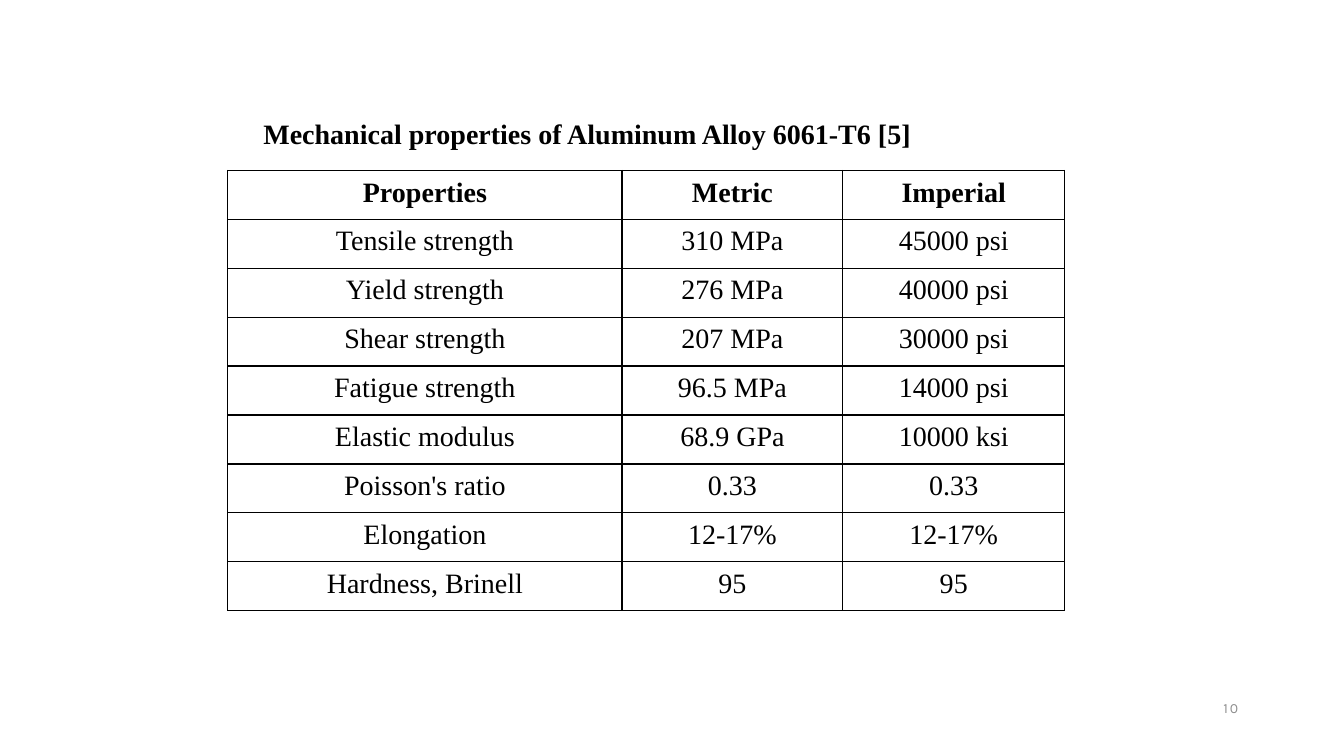
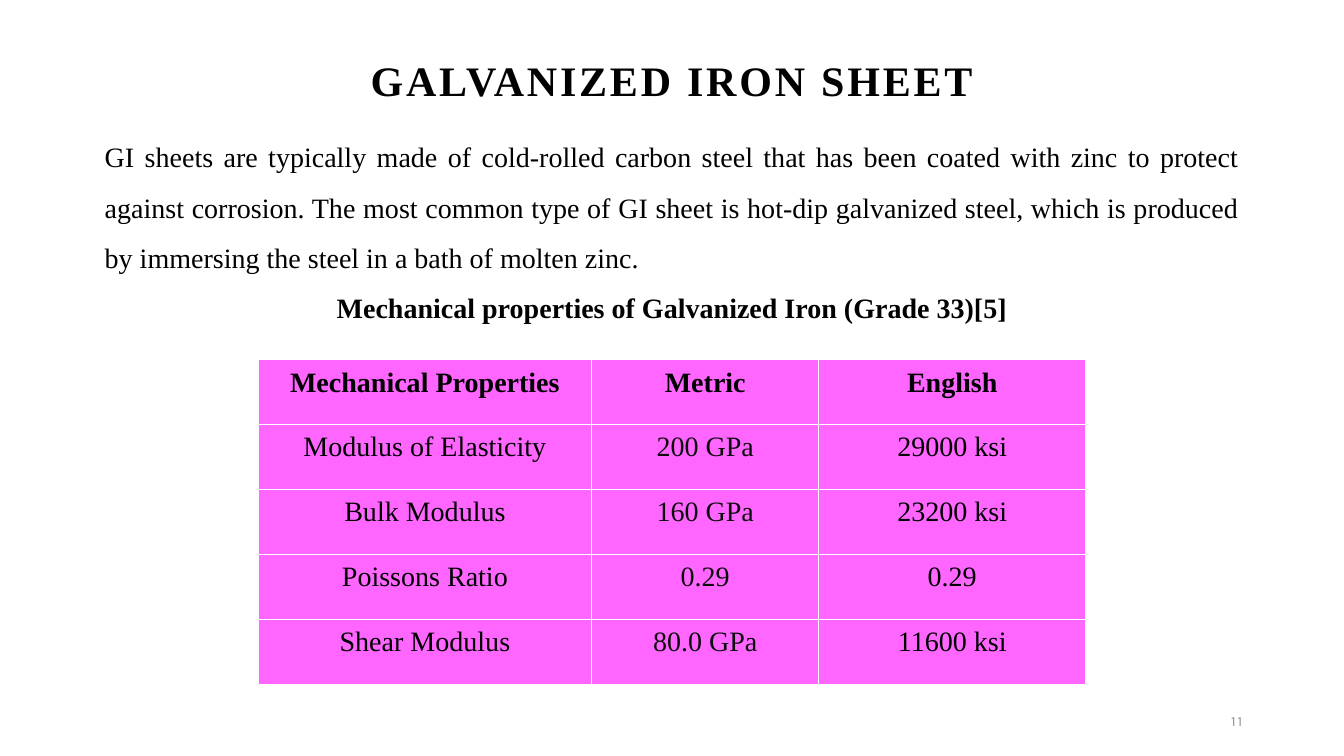
import pptx
import pptx.dml.color
import pptx.enum.text
import pptx.oxml
import pptx.oxml.ns
import pptx.util

Pt = pptx.util.Pt
ALIGN = pptx.enum.text.PP_ALIGN
ANCHOR = pptx.enum.text.MSO_ANCHOR
EMU_PER_PX = 9144  # 100 px to the inch

COLORS = {
    "paper": "FFFFFF",
    "ink": "000000",
    "soft ink": "0D0D0D",
    "page number": "8C8C8C",
    "pink": "FF66FF",
}


def px(length):
    return pptx.util.Emu(length * EMU_PER_PX)


def rgb(name):
    return pptx.dml.color.RGBColor.from_string(COLORS[name])


def write(para, text, size=20, font="Times New Roman", color="ink", bold=False,
          align=ALIGN.CENTER, line_spacing=None, space_after=0, tracking=0):
    """Fill a paragraph with one formatted span; tracking is in points."""
    para.alignment = align
    para.line_spacing = line_spacing
    para.space_before = Pt(0)
    para.space_after = Pt(space_after)
    span = para.add_run()
    span.text = text
    span.font.size = Pt(size)
    span.font.name = font
    span.font.bold = bold
    span.font.color.rgb = rgb(color)
    if tracking:
        span._r.get_or_add_rPr().set("spc", str(round(tracking * 100)))


def draw_borders(cell, color, width=1):
    properties = cell._tc.get_or_add_tcPr()
    for side in ("lnL", "lnR", "lnT", "lnB"):
        properties.append(pptx.oxml.parse_xml(
            f'<a:{side} {pptx.oxml.ns.nsdecls("a")} w="{Pt(width)}">'
            f'<a:solidFill><a:srgbClr val="{COLORS[color]}"/></a:solidFill>'
            f'</a:{side}>'))


class Slides:
    """Holds the deck, the current page and the shared style."""

    def __init__(self):
        self.deck = pptx.Presentation()
        self.deck.slide_width = px(1333)
        self.deck.slide_height = px(750)
        self.page = None

    def add_page(self):
        self.page = self.deck.slides.add_slide(self.deck.slide_layouts[6])
        self.page.background.fill.solid()
        self.page.background.fill.fore_color.rgb = rgb("paper")

    def text(self, left, top, width, height, *paragraphs, anchor=ANCHOR.TOP):
        """Each paragraph is a pair: its text and a dict of its format."""
        box = self.page.shapes.add_textbox(px(left), px(top), px(width), px(height))
        frame = box.text_frame
        frame.word_wrap = True
        frame.vertical_anchor = anchor
        for index, (text, style) in enumerate(paragraphs):
            para = frame.add_paragraph() if index else frame.paragraphs[0]
            write(para, text, **style)

    def title(self, text):
        style = dict(size=30, bold=True, line_spacing=0.9, tracking=2)
        self.text(121, 55, 1091, 62, (text, style))

    def page_number(self, number, left, top):
        style = dict(size=10, font="Karla", color="page number",
                     align=ALIGN.RIGHT, tracking=1.5)
        self.text(left, top, 300, 40, (str(number), style), anchor=ANCHOR.MIDDLE)

    def table(self, left, top, widths, height, rows, border, fill=None,
              anchor=ANCHOR.TOP, margins=None, body_colors=None, **style):
        """The first row is a bold header; body_colors has one name per column."""
        frame = self.page.shapes.add_table(
            len(rows), len(widths), px(left), px(top), px(sum(widths)), px(height))
        table = frame.table
        table.first_row = table.horz_banding = False
        for column, width in zip(table.columns, widths):
            column.width = px(width)
        for r, row in enumerate(rows):
            for c, text in enumerate(row):
                cell = table.cell(r, c)
                cell.vertical_anchor = anchor
                if margins:
                    (cell.margin_left, cell.margin_top,
                     cell.margin_right, cell.margin_bottom) = map(px, margins)
                draw_borders(cell, border)
                if fill:
                    cell.fill.solid()
                    cell.fill.fore_color.rgb = rgb(fill)
                else:
                    cell.fill.background()
                color = body_colors[c] if body_colors and r else "ink"
                write(cell.text_frame.paragraphs[0], text,
                      bold=r == 0, color=color, **style)


def aluminum_page(slides):
    slides.add_page()
    slides.page_number(10, 938, 682)
    slides.table(
        226, 169, (391, 219, 220), 437,
        [
            ("Properties", "Metric", "Imperial"),
            ("Tensile strength", "310 MPa", "45000 psi"),
            ("Yield strength", "276 MPa", "40000 psi"),
            ("Shear strength", "207 MPa", "30000 psi"),
            ("Fatigue strength", "96.5 MPa", "14000 psi"),
            ("Elastic modulus", "68.9 GPa", "10000 ksi"),
            ("Poisson's ratio", "0.33", "0.33"),
            ("Elongation", "12-17%", "12-17%"),
            ("Hardness, Brinell", "95", "95"),
        ],
        border="ink", anchor=ANCHOR.MIDDLE, line_spacing=Pt(18.9))
    slides.text(113, 94, 939, 61,
                ("Mechanical properties of Aluminum Alloy 6061-T6 [5]",
                 dict(bold=True, line_spacing=1.5)))


def galvanized_page(slides):
    slides.add_page()
    slides.title("GALVANIZED IRON SHEET")
    slides.page_number(11, 942, 695)
    # Introduction and table caption
    slides.text(
        94, 117, 1145, 213,
        ("GI sheets are typically made of cold-rolled carbon steel that has been "
         "coated with zinc to protect against corrosion. The most common type of "
         "GI sheet is hot-dip galvanized steel, which is produced by immersing "
         "the steel in a bath of molten zinc.",
         dict(align=ALIGN.JUSTIFY, line_spacing=1.5)),
        ("Mechanical properties of Galvanized Iron (Grade 33)[5]",
         dict(bold=True, line_spacing=1.5)))
    # Properties
    slides.table(
        256, 357, (331, 225, 265), 322,
        [
            ("Mechanical Properties", "Metric", "English"),
            ("Modulus of Elasticity", "200 GPa", "29000 ksi"),
            ("Bulk Modulus", "160 GPa", "23200 ksi"),
            ("Poissons Ratio", "0.29", "0.29"),
            ("Shear Modulus", "80.0 GPa", "11600 ksi"),
        ],
        border="paper", fill="pink", margins=(2, 5, 2, 5),
        body_colors=("ink", "soft ink", "ink"),
        line_spacing=1.07, space_after=5.7)


def main():
    slides = Slides()
    aluminum_page(slides)
    galvanized_page(slides)
    slides.deck.save("out.pptx")


if __name__ == "__main__":
    main()
